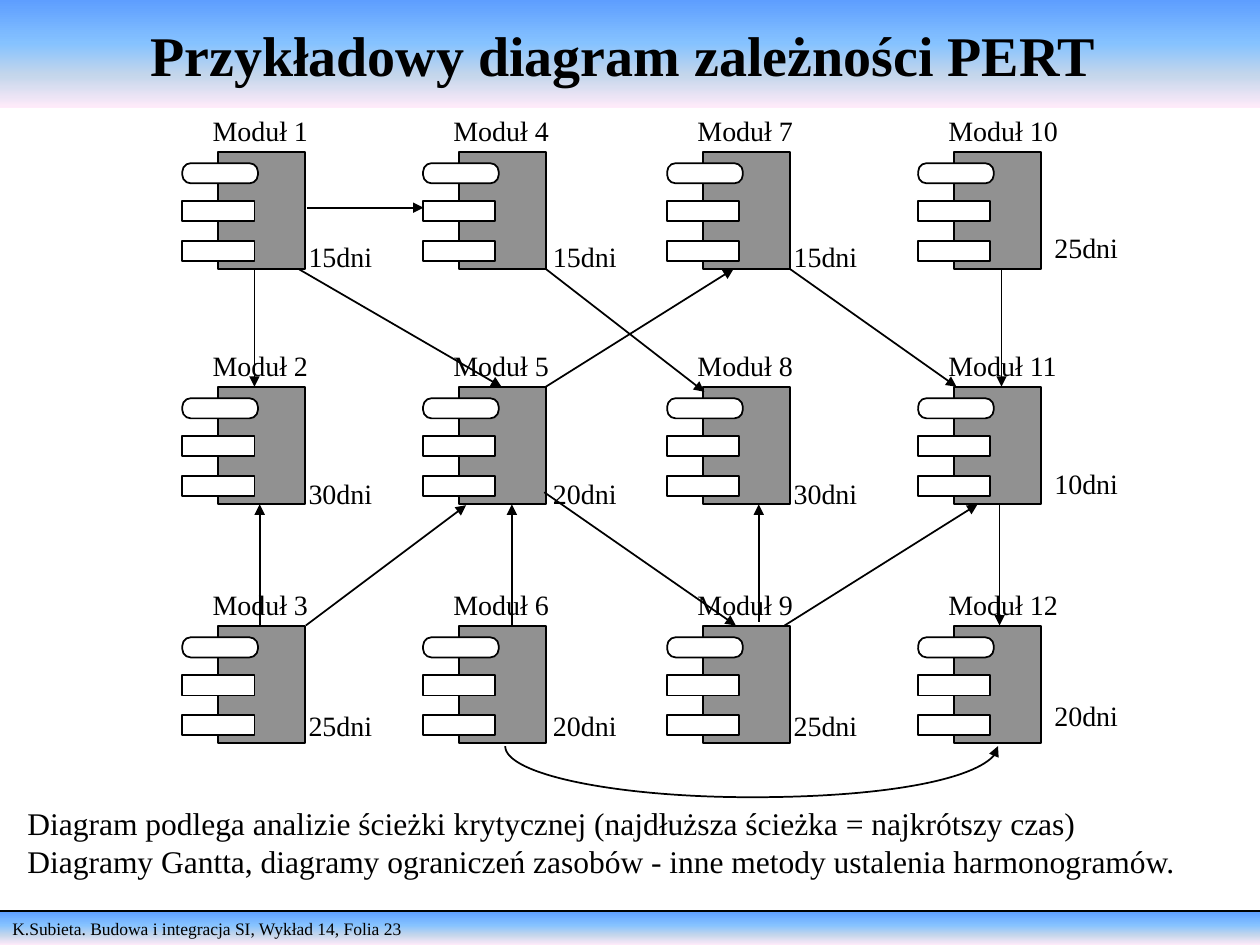
import dataclasses

import lxml.etree
import pptx
import pptx.dml.color
import pptx.enum.shapes
import pptx.enum.text
import pptx.oxml.ns
import pptx.util

Pt = pptx.util.Pt
qn = pptx.oxml.ns.qn
SHAPE = pptx.enum.shapes.MSO_SHAPE


@dataclasses.dataclass(frozen=True)
class Theme:
    font: str = "Times New Roman"
    ink: str = "000000"
    paper: str = "FFFFFF"
    module: str = "919191"
    gradient: tuple = ((0, "5E9EFF"), (40, "85C2FF"), (70, "C4D6EB"), (100, "FFEBFA"))
    title_size: int = 32
    note_size: int = 18
    label_size: int = 16
    footer_size: int = 10
    line_width: int = 1


THEME = Theme()

COLUMN_LEFTS = (124.6, 262.2, 401.7, 545.1)
ROW_TOPS = (86.8, 221.1, 357.7)
MODULE_SIZE = (49.8, 67)
DURATION_LEFTS = (169.2, 308.9, 446.4, 595.4)
DURATION_TOPS = (133.6, 268.5, 401.4)
LAST_COLUMN_RISE = 5.5
DURATIONS = ((15, 30, 25), (15, 20, 20), (15, 30, 25), (25, 10, 20))

PORTS = (
    (SHAPE.ROUNDED_RECTANGLE, 6.5, 43.2),
    (SHAPE.RECTANGLE, 28.2, 41.2),
    (SHAPE.RECTANGLE, 50.9, 41.2),
)

DEPENDENCIES = (
    (175.7, 118.7, 242, 118.7),
    (145.4, 153.7, 145.4, 221),
    (170.6, 153.7, 286.6, 221),
    (311.9, 153.7, 402.5, 223.9),
    (451.4, 153.7, 546.6, 221),
    (572.3, 153.7, 572.3, 221),
    (311.9, 221, 419.2, 153.7),
    (148.4, 357.4, 148.4, 288.2),
    (174.8, 357.4, 266.4, 288.7),
    (292.5, 357.4, 292.5, 288.2),
    (311, 281.3, 420.5, 357.4),
    (433.6, 355.2, 433.6, 288.2),
    (571.2, 288.2, 571.2, 357.4),
    (448.4, 357.4, 558.6, 288.2),
)

CURVE = (
    (288.7, 426.4),
    (288.7, 442.6), (352.1, 455.6), (429.6, 455.6),
    (507.2, 455.6), (570.3, 442.6), (570.3, 426.4),
)

NOTES = (
    "Diagram podlega analizie ścieżki krytycznej (najdłuższa ścieżka = najkrótszy czas)",
    "Diagramy Gantta, diagramy ograniczeń zasobów - inne metody ustalenia harmonogramów.",
)


def apply(target, values):
    for name, value in values.items():
        setattr(target, name, value)


def color(code):
    return pptx.dml.color.RGBColor.from_string(code)


def write(box, lines, size, bold=False, align="LEFT", **frame_values):
    frame = box.text_frame
    apply(frame, frame_values)
    for index, line in enumerate(lines):
        para = frame.add_paragraph() if index else frame.paragraphs[0]
        para.alignment = pptx.enum.text.PP_ALIGN[align]
        span = para.add_run()
        span.text = line
        apply(span.font, {"name": THEME.font, "size": Pt(size), "bold": bold})
        span.font.color.rgb = color(THEME.ink)


def add_label(shapes, lines, left, top, width, height=26.6, size=THEME.label_size):
    box = shapes.add_textbox(Pt(left), Pt(top), Pt(width), Pt(height))
    write(box, lines, size, word_wrap=False,
          auto_size=pptx.enum.text.MSO_AUTO_SIZE.SHAPE_TO_FIT_TEXT)


def outline(shape):
    shape.line.color.rgb = color(THEME.ink)
    shape.line.width = Pt(THEME.line_width)


def add_block(shapes, kind, left, top, width, height, fill):
    block = shapes.add_shape(kind, Pt(left), Pt(top), Pt(width), Pt(height))
    block.shadow.inherit = False
    block.fill.solid()
    block.fill.fore_color.rgb = color(fill)
    outline(block)
    return block


def fill_gradient(shape):
    shape.fill.gradient()
    shape.fill.gradient_angle = 270
    stops = shape.element.spPr.find(".//" + qn("a:gsLst"))
    for stop in list(stops):
        stops.remove(stop)
    for percent, code in THEME.gradient:
        stop = lxml.etree.SubElement(stops, qn("a:gs"), pos=str(percent * 1000))
        lxml.etree.SubElement(stop, qn("a:srgbClr"), val=code)


def add_arrowhead(shape):
    line = shape.element.spPr.find(qn("a:ln"))
    lxml.etree.SubElement(line, qn("a:tailEnd"), type="triangle")


def add_line(shapes, *ends):
    line = shapes.add_connector(pptx.enum.shapes.MSO_CONNECTOR.STRAIGHT, *map(Pt, ends))
    outline(line)
    lxml.etree.SubElement(line.element.spPr, qn("a:effectLst"))
    return line


def add_curve(shapes, points):
    start, *rest = [(Pt(x), Pt(y)) for x, y in points]
    builder = shapes.build_freeform(*start)
    builder.add_line_segments(rest, close=False)
    curve = builder.convert_to_shape()
    curve.shadow.inherit = False
    curve.fill.background()
    outline(curve)
    add_arrowhead(curve)
    track = curve.element.spPr.find(".//" + qn("a:path"))
    segments = track.findall(qn("a:lnTo"))
    for first in range(0, len(segments), 3):
        bezier = lxml.etree.SubElement(track, qn("a:cubicBezTo"))
        for segment in segments[first:first + 3]:
            bezier.append(segment[0])
            track.remove(segment)


def add_module(shapes, number, left, top):
    add_block(shapes, SHAPE.RECTANGLE, left, top, *MODULE_SIZE, THEME.module)
    for kind, drop, width in PORTS:
        port = add_block(shapes, kind, left - 20.4, top + drop, width, 11.5, THEME.paper)
        if kind == SHAPE.ROUNDED_RECTANGLE:
            port.adjustments[0] = 0.42
    add_label(shapes, [f"Moduł {number}"], left - 10.2, top - 25.3, 69.1 if number < 10 else 77)


def add_modules(page):
    for row, top in enumerate(ROW_TOPS):
        group = page.shapes.add_group_shape()
        for column, left in enumerate(COLUMN_LEFTS):
            add_module(group.shapes, column * len(ROW_TOPS) + row + 1, left, top)


def add_durations(page):
    for left, days in zip(DURATION_LEFTS, DURATIONS):
        group = page.shapes.add_group_shape()
        rise = LAST_COLUMN_RISE if left == DURATION_LEFTS[-1] else 0
        for top, count in zip(DURATION_TOPS, days):
            add_label(group.shapes, [f"{count}dni"], left, top - rise, 51.1)


def add_title(page):
    title = page.shapes.title
    apply(title, {"left": 0, "top": 0, "width": Pt(720), "height": Pt(61.5)})
    fill_gradient(title)
    write(title, ["Przykładowy diagram zależności PERT "], THEME.title_size, True, "CENTER",
          vertical_anchor=pptx.enum.text.MSO_ANCHOR.MIDDLE)


def add_footer(page):
    footer = page.shapes.add_shape(SHAPE.RECTANGLE, 0, Pt(521), Pt(720), Pt(19))
    footer.shadow.inherit = False
    footer.line.fill.background()
    fill_gradient(footer)
    write(footer, ["K.Subieta. Budowa i integracja SI, Wykład 14, Folia 23"], THEME.footer_size,
          vertical_anchor=pptx.enum.text.MSO_ANCHOR.TOP)
    add_line(page.shapes, 0, 520.4, 720, 520.4)


def main():
    deck = pptx.Presentation()
    apply(deck, {"slide_width": Pt(720), "slide_height": Pt(540)})
    page = deck.slides.add_slide(deck.slide_layouts[5])
    add_footer(page)
    add_title(page)
    add_modules(page)
    for ends in DEPENDENCIES:
        add_arrowhead(add_line(page.shapes, *ends))
    add_curve(page.shapes, CURVE)
    add_durations(page)
    add_label(page.shapes, NOTES, 8.6, 455.8, 683.3, 51.1, THEME.note_size)
    deck.save("out.pptx")


if __name__ == "__main__":
    main()
